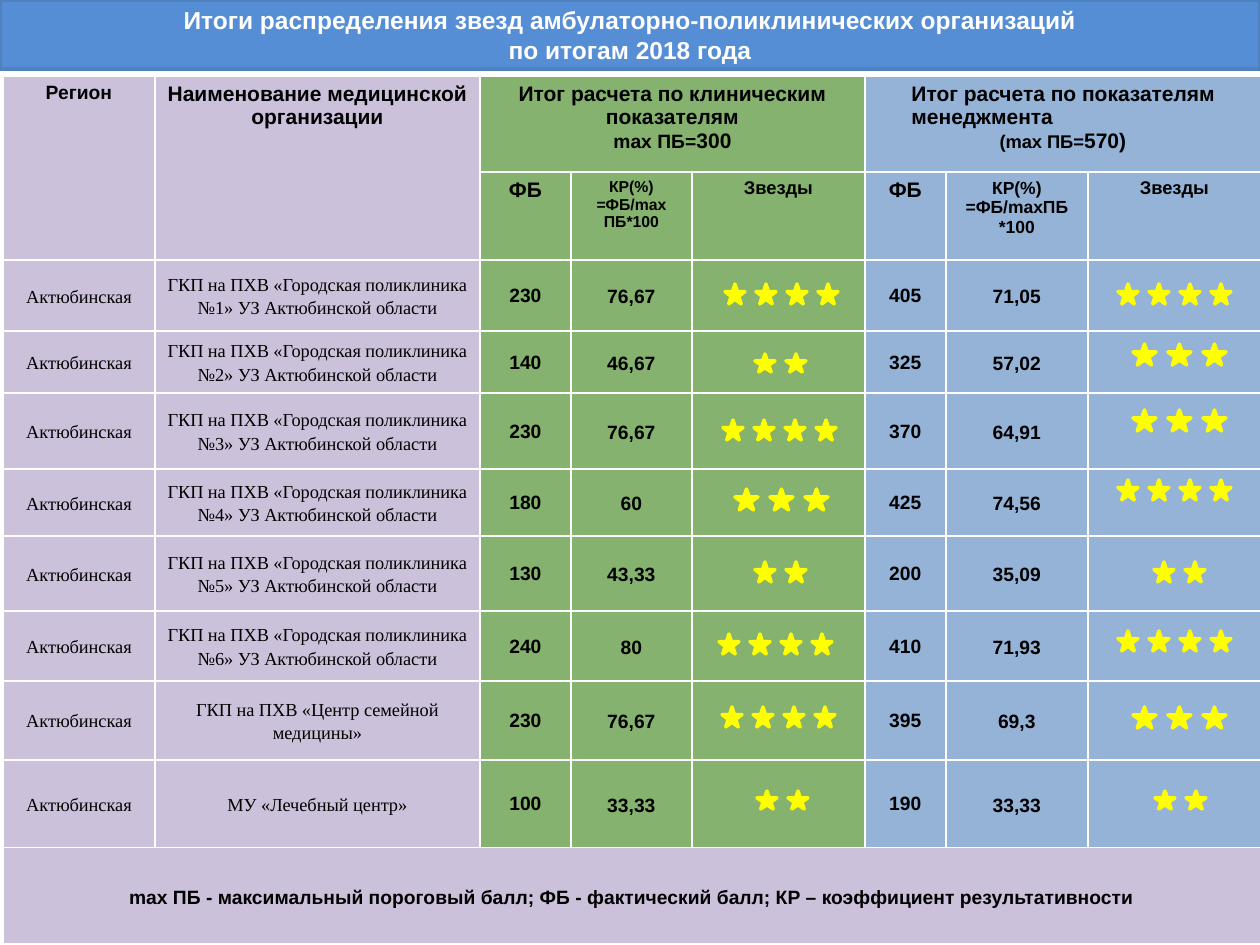
from lxml.etree import SubElement
from pptx import Presentation
from pptx.dml.color import RGBColor
from pptx.enum.shapes import MSO_SHAPE
from pptx.enum.text import MSO_ANCHOR, PP_ALIGN
from pptx.oxml.ns import qn
from pptx.util import Emu, Pt

HEX = {
    "title": "558ED5", "edge": "4F81BD", "white": "FFFFFF", "black": "000000",
    "lilac": "CCC1DA", "green": "85B26E", "blue": "95B3D7", "star": "FFFF00",
}
COLS = [152, 325, 91, 121, 173, 81, 142, 173]
ROWS = [96, 88, 71, 62, 76, 67, 75, 70, 79, 88, 96]
TINTS = ["lilac"] * 2 + ["green"] * 3 + ["blue"] * 3
SERIF = "Times New Roman"
# Width, height and step of a star
STARS = {"small": (20, 18, 31), "medium": (20, 20, 31), "large": (23, 21, 35)}


def clinic(number):
    return ["ГКП на ПХВ «Городская поликлиника", f"№{number}» УЗ Актюбинской области"]


# Name, then score, rate and stars (left, top, size, count) for each half
CLINICS = [
    (clinic(1), "230", "76,67", (725, 284, "medium", 4),
     "405", "71,05", (1118, 284, "medium", 4)),
    (clinic(2), "140", "46,67", (755, 354, "small", 2),
     "325", "57,02", (1133, 344, "large", 3)),
    (clinic(3), "230", "76,67", (723, 420, "medium", 4),
     "370", "64,91", (1133, 410, "large", 3)),
    (clinic(4), "180", "60", (735, 489, "large", 3),
     "425", "74,56", (1118, 480, "medium", 4)),
    (clinic(5), "130", "43,33", (755, 562, "medium", 2),
     "200", "35,09", (1154, 562, "medium", 2)),
    (clinic(6), "240", "80", (719, 634, "medium", 4),
     "410", "71,93", (1118, 631, "medium", 4)),
    (["ГКП на ПХВ «Центр семейной медицины»"], "230", "76,67", (722, 707, "medium", 4),
     "395", "69,3", (1133, 707, "large", 3)),
    (["МУ «Лечебный центр»"], "100", "33,33", (757, 791, "small", 2),
     "190", "33,33", (1155, 791, "small", 2)),
]
HEADS = [["ФБ"], ["КР(%)", "=ФБ/mах ПБ*100"], ["Звезды"],
         ["ФБ"], ["КР(%)", "=ФБ/mахПБ *100"], ["Звезды"]]
SIZES = [12, 9, 10.5, 12, 10, 10.5]
NOTE = ("mах ПБ - максимальный пороговый балл; ФБ - фактический балл; "
        "КР – коэффициент результативности")


def px(n):
    return Emu(round(n * 914400 / 126))


def color(name):
    return RGBColor.from_string(HEX[name])


def paint(shape, fill, line):
    shape.shadow.inherit = False
    shape.fill.solid()
    shape.fill.fore_color.rgb = color(fill)
    shape.line.color.rgb = color(line)
    shape.line.width = Pt(2)


def style(font, size, face="Arial", bold=True, tint="black"):
    font.size, font.name, font.bold = Pt(size), face, bold
    font.color.rgb = color(tint)


def write(cell, lines, size, face="Arial", bold=True, space=None):
    """Fill a cell; a line is a string or a list of (text, size) runs."""
    frame = cell.text_frame
    for i, line in enumerate(lines):
        para = frame.add_paragraph() if i else frame.paragraphs[0]
        para.alignment = PP_ALIGN.CENTER
        if space:
            para.line_spacing = space
        if isinstance(line, str):
            para.add_run().text = line
            style(para.font, size, face, bold)
        else:
            for text, points in line:
                run = para.add_run()
                run.text = text
                style(run.font, points, face, bold)


def center(cell, side, top):
    """Centre the text vertically and set the cell margins."""
    cell.vertical_anchor = MSO_ANCHOR.MIDDLE
    cell.margin_left = cell.margin_right = px(side)
    cell.margin_top, cell.margin_bottom = px(top), 0


def border(cell):
    props = cell._tc.get_or_add_tcPr()
    for side in ("a:lnL", "a:lnR", "a:lnT", "a:lnB"):
        line = SubElement(props, qn(side), w=str(Pt(1)))
        fill = SubElement(line, qn("a:solidFill"))
        SubElement(fill, qn("a:srgbClr"), val=HEX["white"])


def add_title(slide):
    box = slide.shapes.add_shape(MSO_SHAPE.RECTANGLE, 0, 0, px(1260), px(69))
    paint(box, "title", "edge")
    box.text_frame.word_wrap = True
    box.text_frame.vertical_anchor = MSO_ANCHOR.MIDDLE
    para = box.text_frame.paragraphs[0]
    para.alignment = PP_ALIGN.CENTER
    para.add_run().text = "Итоги распределения звезд амбулаторно-поликлинических организаций"
    para.add_line_break()
    para.add_run().text = "по итогам 2018 года"
    style(para.font, 14, tint="white")


def add_grid(slide):
    frame = slide.shapes.add_table(len(ROWS), len(COLS), px(3), px(76),
                                   px(sum(COLS)), px(sum(ROWS)))
    table = frame.table
    table.first_row = table.horz_banding = False
    for col, width in zip(table.columns, COLS):
        col.width = px(width)
    for r, height in enumerate(ROWS):
        table.rows[r].height = px(height)
        for c, tint in enumerate(TINTS):
            cell = table.cell(r, c)
            border(cell)
            cell.fill.solid()
            cell.fill.fore_color.rgb = color("lilac" if r == len(ROWS) - 1 else tint)
    return table


def fill_head(table):
    for start, end in (((0, 0), (1, 0)), ((0, 1), (1, 1)),
                       ((0, 2), (0, 4)), ((0, 5), (0, 7))):
        table.cell(*start).merge(table.cell(*end))
    write(table.cell(0, 0), ["Регион"], 11)
    write(table.cell(0, 1), ["Наименование медицинской организации"], 12)
    write(table.cell(0, 2), ["Итог расчета по клиническим показателям",
                             [("mах ПБ=", 11), ("300", 12)]], 12)
    manage = table.cell(0, 5)
    write(manage, ["Итог расчета по показателям менеджмента",
                   [("(mах ПБ=", 10.5), ("570)", 12)]], 12)
    first = manage.text_frame.paragraphs[0]
    first.alignment = PP_ALIGN.LEFT
    first._p.get_or_add_pPr().set("marL", str(px(34)))
    for c, (lines, size) in enumerate(zip(HEADS, SIZES), 2):
        write(table.cell(1, c), lines, size)


def fill_row(table, r, name, halves):
    for c, lines in enumerate((["Актюбинская"], name)):
        cell = table.cell(r, c)
        center(cell, 9, 0)
        write(cell, lines, 10.5, SERIF, False, 1.15)
    for c, (score, rate, _) in zip((2, 5), halves):
        center(table.cell(r, c), 1, 1)
        write(table.cell(r, c), [score], 11)
        center(table.cell(r, c + 1), 9, 0)
        write(table.cell(r, c + 1), [rate], 11, space=1.15)


def add_stars(slide, left, top, size, count):
    wide, high, step = STARS[size]
    group = slide.shapes.add_group_shape()
    for i in range(count):
        star = group.shapes.add_shape(MSO_SHAPE.STAR_5_POINT, px(left + i * step),
                                      px(top), px(wide), px(high))
        paint(star, "star", "star")


def main():
    deck = Presentation()
    deck.slide_width, deck.slide_height = px(1260), px(945)
    slide = deck.slides.add_slide(deck.slide_layouts[6])
    add_title(slide)
    table = add_grid(slide)
    fill_head(table)
    for r, (name, *marks) in enumerate(CLINICS, 2):
        halves = marks[:3], marks[3:]
        fill_row(table, r, name, halves)
        for half in halves:
            add_stars(slide, *half[2])
    last = len(ROWS) - 1
    note = table.cell(last, 0)
    note.merge(table.cell(last, len(COLS) - 1))
    center(note, 9, 0)
    write(note, [NOTE], 11, space=1.15)
    deck.save("out.pptx")


if __name__ == "__main__":
    main()
